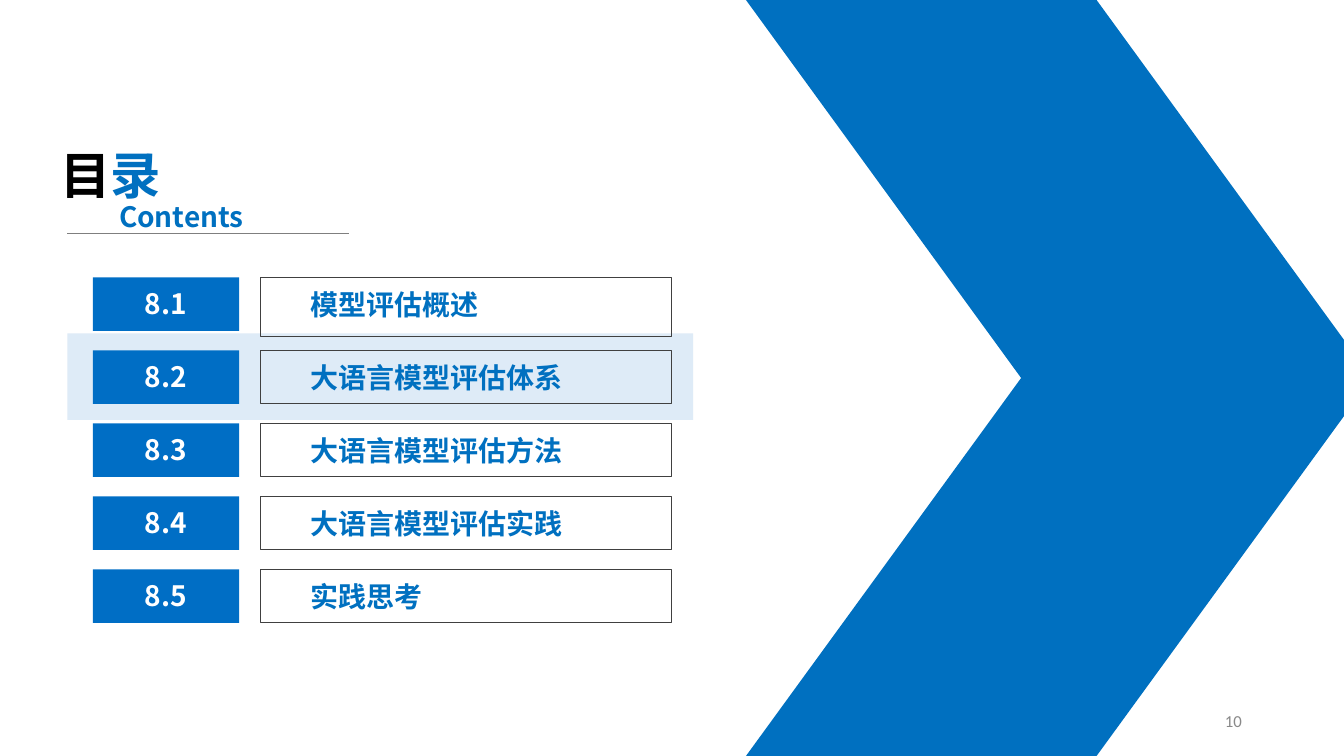
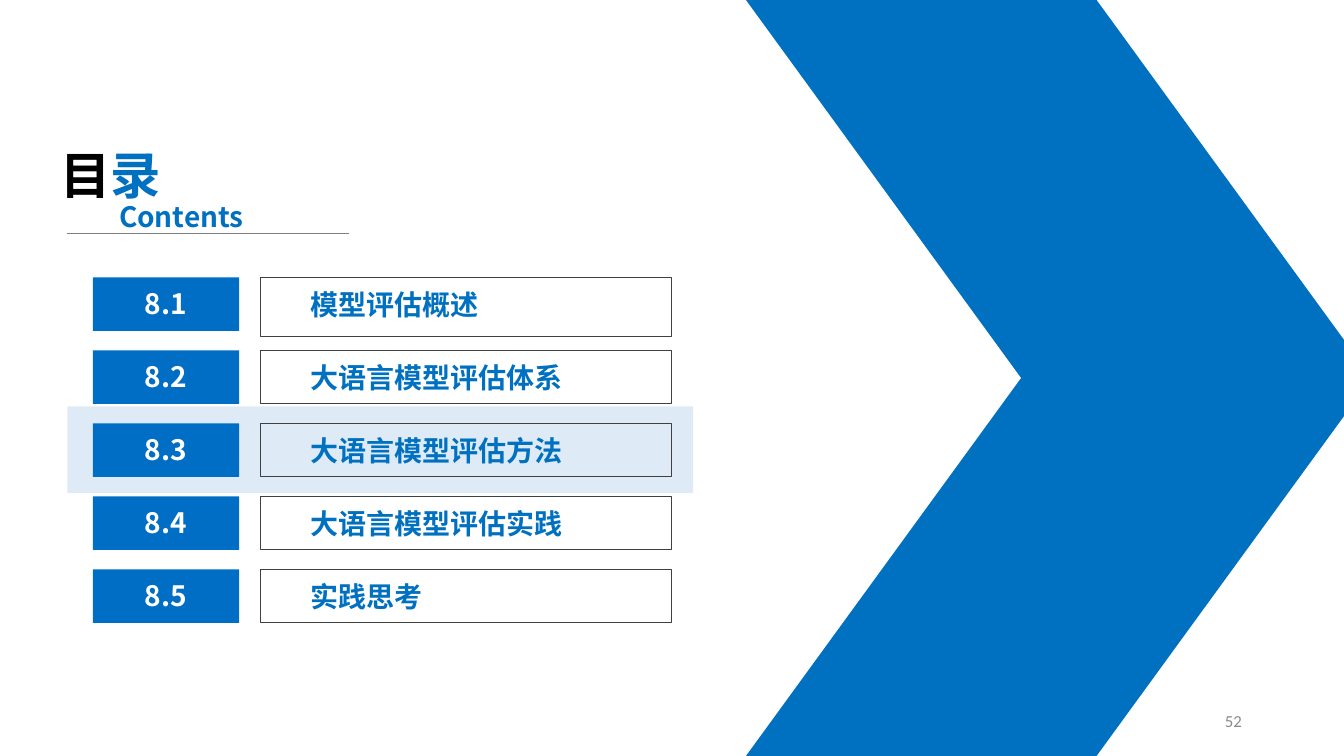
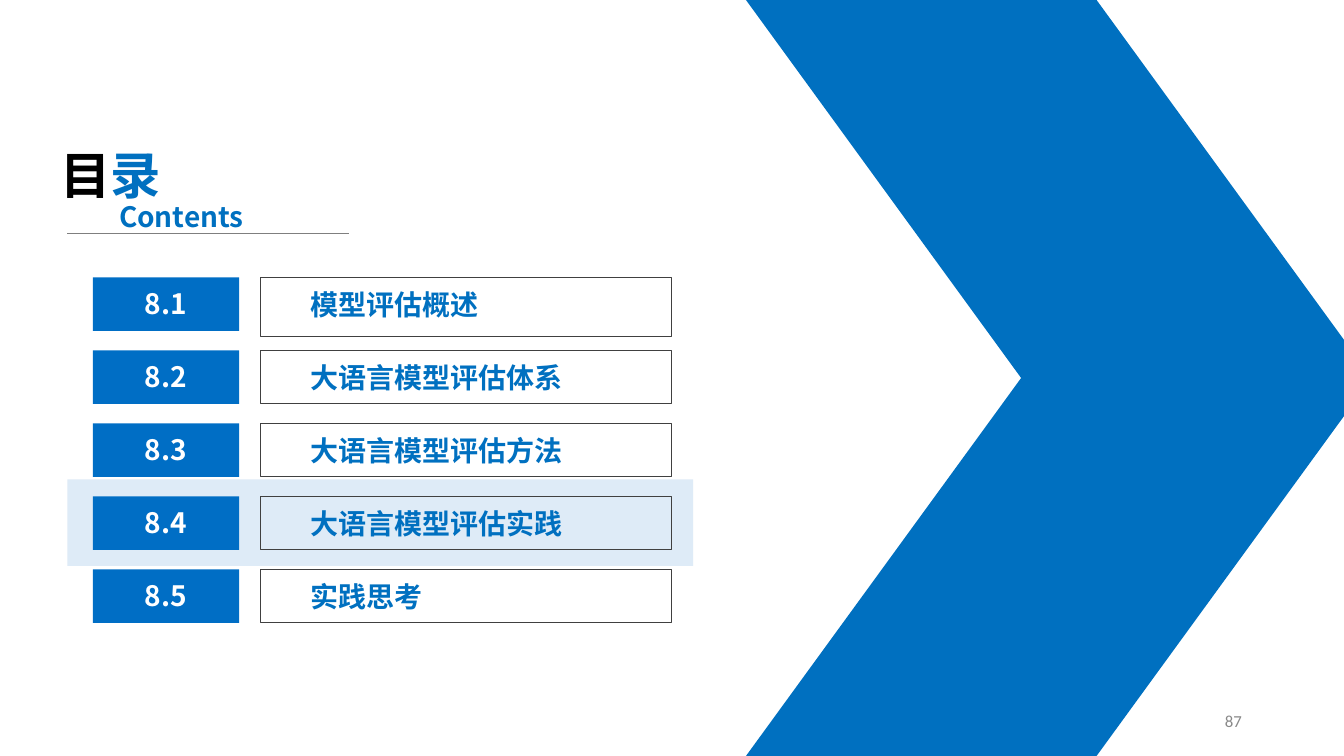
from dataclasses import dataclass

from lxml.etree import SubElement
from pptx import Presentation
from pptx.dml.color import RGBColor as Rgb
from pptx.enum.shapes import MSO_CONNECTOR as Link, MSO_SHAPE as Form
from pptx.enum.text import MSO_ANCHOR as Anchor, MSO_AUTO_SIZE as Auto, PP_ALIGN as Align
from pptx.oxml.ns import qn
from pptx.util import Cm, Pt


@dataclass(frozen=True)
class Theme:
    blue: str = "0070C0"
    tile: str = "006EC5"
    band: str = "DEEBF7"
    frame: str = "404040"
    rule: str = "7F7F7F"
    black: str = "000000"
    white: str = "FFFFFF"
    page: str = "898989"
    font: str = "Noto Sans CJK SC"
    foot: str = "Calibri"
    head: int = 36
    body: int = 20
    small: int = 12


T = Theme()
WIDE, HIGH = 33.87, 19.05
ROW, STEP = 1.35, 1.84
TOPICS = ["模型评估概述", "大语言模型评估体系", "大语言模型评估方法",
          "大语言模型评估实践", "实践思考"]
# Page number and the index of the highlighted topic
PAGES = [(10, 1), (52, 2), (87, 3)]


def block(shapes, form, x, y, w, h, fill=None, line=None):
    """Add a preset shape with a flat fill or a thin outline."""
    item = shapes.add_shape(form, Cm(x), Cm(y), Cm(w), Cm(h))
    item.shadow.inherit = False
    if fill:
        item.fill.solid()
        item.fill.fore_color.rgb = Rgb.from_string(fill)
    else:
        item.fill.background()
    if line:
        item.line.color.rgb = Rgb.from_string(line)
        item.line.width = Pt(0.75)
    else:
        item.line.fill.background()
    return item


def style(run, size, color, font=T.font, bold=True):
    run.font.size, run.font.bold, run.font.name = Pt(size), bold, font
    run.font.color.rgb = Rgb.from_string(color)
    # East Asian glyphs use the same face
    SubElement(run.font._element, qn("a:ea")).set("typeface", font)


def label(shapes, x, y, w, h, text, size, color, align=Align.LEFT):
    """Add a bold text box that grows with its text."""
    box = shapes.add_textbox(Cm(x), Cm(y), Cm(w), Cm(h))
    frame = box.text_frame
    frame.word_wrap, frame.auto_size = True, Auto.SHAPE_TO_FIT_TEXT
    para = frame.paragraphs[0]
    para.text, para.alignment = text, align
    style(para.runs[0], size, color)
    return para


def arrow(shapes, x, y, w, h):
    """Two mirrored slanted halves form the large arrow."""
    for half in range(2):
        part = block(shapes, Form.PARALLELOGRAM, x, y + half * h / 2, w, h / 2, T.blue)
        part.adjustments[0] = 0.728
        if half == 0:
            part._element.spPr.xfrm.set("flipV", "1")


def title(shapes, x, y):
    """Heading, its subtitle and the rule below."""
    group = shapes.add_group_shape().shapes
    para = label(group, x, y, 4, 1.8, "目", T.head, T.black)
    run = para.add_run()
    run.text = "录"
    style(run, T.head, T.blue)
    rule = group.add_connector(Link.STRAIGHT, Cm(x + 0.43), Cm(y + 2.37),
                               Cm(x + 7.52), Cm(y + 2.37))
    rule.line.color.rgb = Rgb.from_string(T.rule)
    rule.line.width = Pt(0.5)
    SubElement(rule._element.spPr, qn("a:effectLst"))
    label(group, x + 1.48, y + 1.4, 4, 1.12, "Contents", T.body, T.blue)


def entry(shapes, x, y, code, topic, high):
    """One numbered topic: outlined name and filled number."""
    group = shapes.add_group_shape().shapes
    block(group, Form.RECTANGLE, x + 4.22, y, 10.37, high, line=T.frame)
    label(group, x + 5.23, y + 0.13, 9.37, 1.12, topic, T.body, T.blue)
    block(group, Form.RECTANGLE, x, y, 3.69, ROW, T.tile)
    label(group, x + 0.5, y + 0.11, 2.67, 1.12, code, T.body, T.white, Align.CENTER)


def agenda(shapes, x, y, active):
    """Highlight band with the list of topics over it."""
    block(shapes, Form.RECTANGLE, x - 0.64, y + active * STEP - 0.43, 15.77, 2.18, T.band)
    for i, topic in enumerate(TOPICS):
        high = ROW if i else 1.48  # the first outline is taller
        entry(shapes, x, y + i * STEP, f"8.{i + 1}", topic, high)


def footer(shapes, x, y, page):
    box = shapes.add_textbox(Cm(x), Cm(y), Cm(7.62), Cm(1.01))
    frame = box.text_frame
    frame.word_wrap, frame.vertical_anchor = True, Anchor.MIDDLE
    para = frame.paragraphs[0]
    para.text, para.alignment = str(page), Align.RIGHT
    style(para.runs[0], T.small, T.page, T.foot, False)


def contents(deck, page, active):
    shapes = deck.slides.add_slide(deck.slide_layouts[6]).shapes
    agenda(shapes, 2.34, 6.99, active)
    arrow(shapes, 18.8, 0, 15.77, HIGH)
    title(shapes, 1.27, 3.5)
    footer(shapes, 23.93, 17.66, page)


def main():
    deck = Presentation()
    deck.slide_width, deck.slide_height = Cm(WIDE), Cm(HIGH)
    for page, active in PAGES:
        contents(deck, page, active)
    deck.save("out.pptx")


if __name__ == "__main__":
    main()
